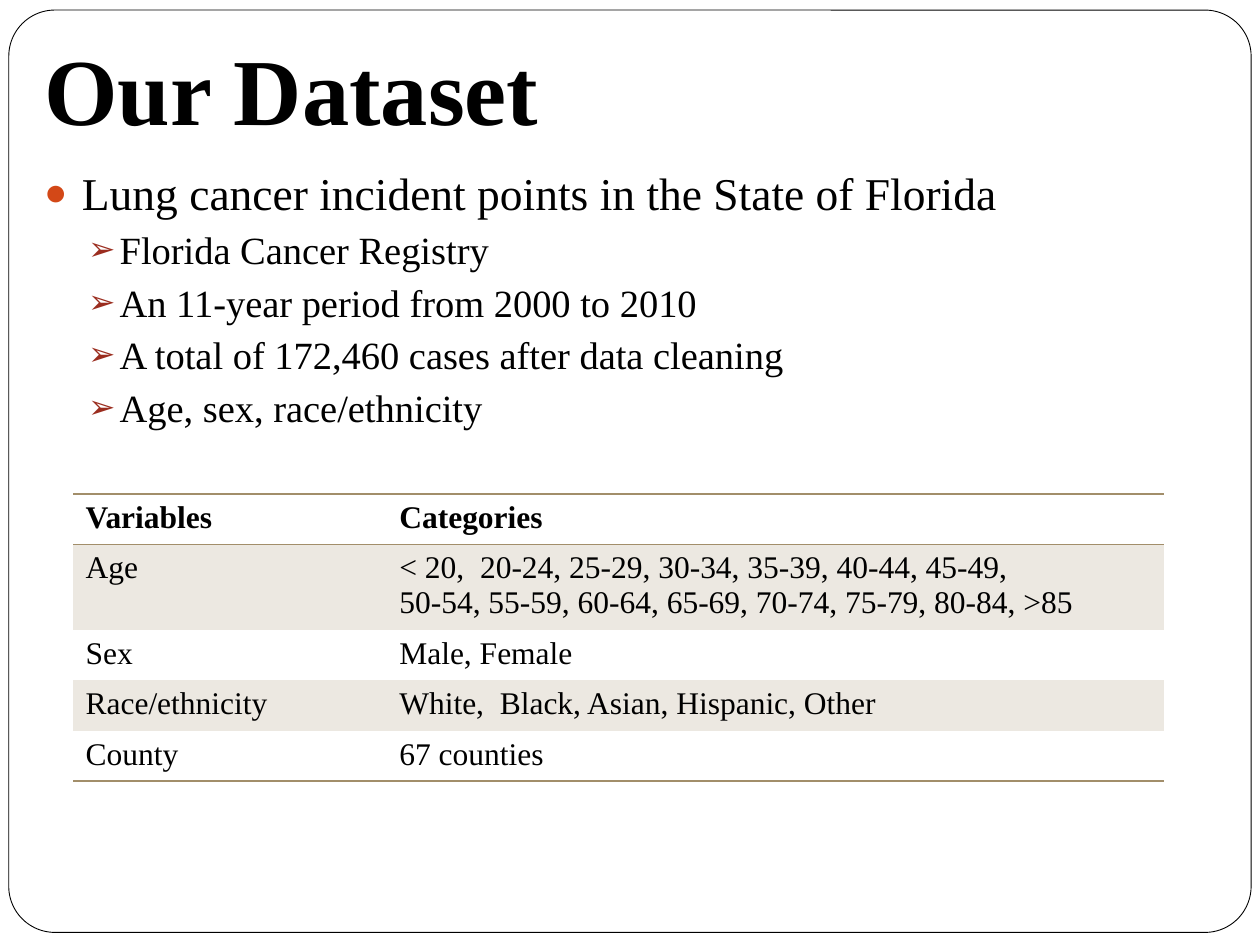
from lxml import etree
from pptx import Presentation
from pptx import util as u
from pptx.dml.color import RGBColor
from pptx.enum import shapes, text
from pptx.oxml import ns

BLACK, WHITE, TAN, BAND = "000000", "FFFFFF", "A28E6A", "ECE8E1"
PLAIN_TABLE_STYLE = "{2D5ABB26-0587-4C30-8999-92F81FD0307C}"

BULLETS = [
    (0, "Lung cancer incident points in the State of Florida"),
    (1, "Florida Cancer Registry"),
    (1, "An 11-year period from 2000 to 2010"),
    (1, "A total of 172,460 cases after data cleaning"),
    (1, "Age, sex, race/ethnicity"),
]
# Per level: size, space before, left margin, hanging indent, symbol, colour
LEVELS = [
    (26, 5.8, 0.3, 0.3, "●", "D34817"),
    (22, 3.7, 0.6, 0.25, "➢", "9B2D1F"),
]
VARIABLES = [
    ("Variables", "Categories"),
    ("Age", "< 20,  20-24, 25-29, 30-34, 35-39, 40-44, 45-49,\n"
            "50-54, 55-59, 60-64, 65-69, 70-74, 75-79, 80-84, >85"),
    ("Sex", "Male, Female"),
    ("Race/ethnicity", "White,  Black, Asian, Hispanic, Other"),
    ("County", "67 counties"),
]


def color(value):
    return RGBColor.from_string(value)


def add_xml(parent, tag, **attributes):
    return etree.SubElement(parent, ns.qn(tag), attributes)


class SlideBuilder:
    font_name = "Times New Roman"

    def __init__(self, presentation):
        self.slide = presentation.slides.add_slide(presentation.slide_layouts[1])

    def style(self, paragraph, size, bold=False):
        font = paragraph.font
        font.name, font.size, font.bold = self.font_name, u.Pt(size), bold
        font.color.rgb = color(BLACK)

    def place(self, shape, left, top, width, height):
        shape.left, shape.top = u.Inches(left), u.Inches(top)
        shape.width, shape.height = u.Inches(width), u.Inches(height)
        shape.text_frame.auto_size = text.MSO_AUTO_SIZE.NONE

    def frame(self, left, top, width, height):
        shape = self.slide.shapes.add_shape(
            shapes.MSO_SHAPE.ROUNDED_RECTANGLE,
            *map(u.Inches, (left, top, width, height)))
        shape.adjustments[0] = 0.05
        shape.shadow.inherit = False
        shape.fill.solid()
        shape.fill.fore_color.rgb = color(WHITE)
        shape.line.color.rgb = color(BLACK)
        shape.line.width = u.Pt(0.5)
        # Send behind the placeholders
        shape.element.getparent().insert(2, shape.element)

    def title(self, words, *box):
        shape = self.slide.shapes.title
        self.place(shape, *box)
        text_frame = shape.text_frame
        text_frame.text = words
        text_frame.vertical_anchor = text.MSO_ANCHOR.BOTTOM
        text_frame.margin_bottom = u.Inches(0.1)
        paragraph = text_frame.paragraphs[0]
        paragraph.alignment = text.PP_ALIGN.LEFT
        self.style(paragraph, 54, bold=True)

    def bullets(self, items, *box):
        shape = self.slide.placeholders[1]
        self.place(shape, *box)
        text_frame = shape.text_frame
        text_frame.text = "\n".join(words for _, words in items)
        for paragraph, (level, _) in zip(text_frame.paragraphs, items):
            size, space, margin, hanging, symbol, symbol_color = LEVELS[level]
            paragraph.level = level
            properties = paragraph._p.get_or_add_pPr()
            properties.set("marL", str(u.Inches(margin)))
            properties.set("indent", str(-u.Inches(hanging)))
            add_xml(add_xml(properties, "a:buClr"), "a:srgbClr", val=symbol_color)
            add_xml(properties, "a:buSzPct", val="85000")
            add_xml(properties, "a:buChar", char=symbol)
            paragraph.space_before = u.Pt(space)
            self.style(paragraph, size)

    def border(self, cell, side):
        line = add_xml(cell._tc.get_or_add_tcPr(), side, w=str(u.Pt(1)))
        add_xml(add_xml(line, "a:solidFill"), "a:srgbClr", val=TAN)

    def table(self, rows, left, top, widths, heights):
        graphic = self.slide.shapes.add_table(
            len(rows), len(widths),
            *map(u.Inches, (left, top, sum(widths), sum(heights))))
        table = graphic.table
        table.first_row = table.horz_banding = False
        table._tbl.tblPr.find(ns.qn("a:tableStyleId")).text = PLAIN_TABLE_STYLE
        for column, width in zip(table.columns, widths):
            column.width = u.Inches(width)
        for index, (row, height) in enumerate(zip(table.rows, heights)):
            row.height = u.Inches(height)
            for cell, words in zip(row.cells, rows[index]):
                cell.text = words
                for paragraph in cell.text_frame.paragraphs:
                    self.style(paragraph, 18, bold=index == 0)
                # Rules above and below the header and under the last row
                if index == 0:
                    self.border(cell, "a:lnT")
                if index in (0, len(rows) - 1):
                    self.border(cell, "a:lnB")
                # Tint every second row
                if index % 2:
                    cell.fill.solid()
                    cell.fill.fore_color.rgb = color(BAND)
                else:
                    cell.fill.background()


def main():
    presentation = Presentation()
    presentation.slide_width = u.Inches(10)
    presentation.slide_height = u.Inches(7.5)
    builder = SlideBuilder(presentation)
    builder.frame(0.07, 0.08, 9.86, 7.32)
    builder.title("Our Dataset", 0.25, 0.08, 8.5, 1.17)
    builder.bullets(BULLETS, 0.25, 1.26, 9.5, 5.83)
    builder.table(VARIABLES, 0.58, 3.92, [2.49, 6.17], [0.4, 0.68, 0.4, 0.4, 0.4])
    presentation.save("out.pptx")


if __name__ == "__main__":
    main()
